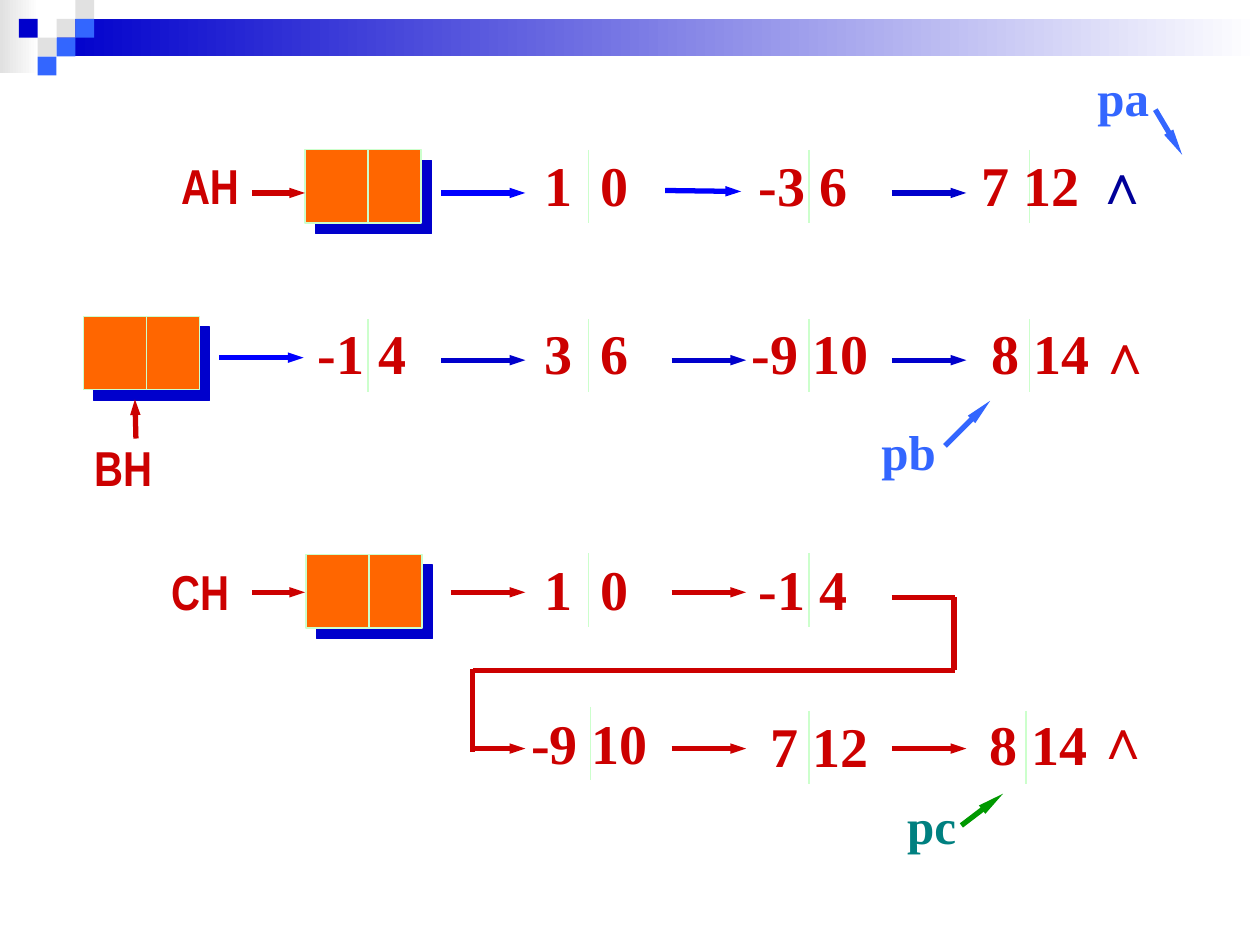
import pptx
import pptx.dml.color
import pptx.enum.shapes
import pptx.enum.text
import pptx.oxml
import pptx.oxml.ns
import pptx.util

Cm = pptx.util.Cm
Pt = pptx.util.Pt
RECTANGLE = pptx.enum.shapes.MSO_SHAPE.RECTANGLE
STRAIGHT = pptx.enum.shapes.MSO_CONNECTOR.STRAIGHT
DRAWING_NS = pptx.oxml.ns.nsdecls("a")

RED, NAVY, BLUE, SKY = "CC0000", "0000CC", "0000FF", "3366FF"
GREY, MINT, ORANGE = "E1E1E1", "CCFFCC", "FF6600"
SERIF, NARROW = "Times New Roman", "Arial Narrow"

# Header: gradient bands (left, top, width, height, start colour)
BANDS = [(0, 0, 0.79, 1.47, GREY), (1.14, 0.38, 24.26, 0.76, NAVY)]
# Header: checker squares (column, row, colour)
TILE = 0.38
TILES = [(3, 1, GREY), (4, 0, GREY), (4, 1, SKY), (2, 2, GREY),
         (1, 1, NAVY), (3, 2, SKY), (2, 3, SKY)]

# Head nodes (left, top)
NODE_WIDTH, NODE_HEIGHT, NODE_SPLIT = 2.34, 1.48, 1.27
HEADS = [(6.15, 3.02), (1.68, 6.38), (6.17, 11.18)]

# Dividers between coefficient and exponent: (top, x positions)
FIRST_DIVIDER, NODE_STEP = 7.42, 4.445
COLUMNS = [FIRST_DIVIDER + NODE_STEP * index for index in range(4)]
DIVIDERS = [(3.02, COLUMNS[1:]), (6.43, COLUMNS), (11.15, COLUMNS[1:3]),
            (14.25, [11.91]), (14.33, [16.31, 20.68])]

# Level arrows: (y, colour, [(start, end), ...])
LEVEL_ARROWS = [
    (3.89, RED, [(5.08, 6.15)]),
    (3.89, BLUE, [(8.89, 10.59)]),
    (3.89, NAVY, [(17.98, 19.48)]),
    (7.21, BLUE, [(4.42, 6.12)]),
    (7.26, NAVY, [(8.89, 10.59), (13.54, 15.04), (17.98, 19.48)]),
    (11.94, RED, [(5.08, 6.15), (9.09, 10.59), (13.54, 15.04)]),
    (15.09, RED, [(9.53, 10.59), (13.54, 15.04), (17.98, 19.48)]),
]
# Sloping arrows: (start, end, colour, head length)
SLOPING_ARROWS = [
    ((13.41, 3.84), (14.94, 3.86), BLUE, "med"),
    ((2.74, 8.84), (2.72, 8.05), RED, "med"),
    ((23.29, 2.21), (23.83, 3.12), SKY, "lg"),
    ((19.05, 8.99), (19.96, 8.08), SKY, "lg"),
    ((19.38, 16.64), (20.22, 16), "009900", "lg"),
]
# Link from the upper to the lower row of list C
WRAP_LINK = [((17.98, 12.04), (19.25, 12.04)), ((19.23, 12.04), (19.23, 13.51)),
             ((19.25, 13.51), (9.53, 13.51)), ((9.53, 13.49), (9.53, 15.16))]

# Texts: (wording, left, top, width, colour)
LIST_NAMES = [("AH", 3.4, 3.02, 1.7, RED), ("BH", 1.65, 8.69, 1.7, RED),
              ("CH", 3.2, 11.2, 1.7, RED)]
POINTERS = [("pa", 21.87, 1.22, 1.55, SKY), ("pb", 17.5, 8.36, 1.63, SKY),
            ("pc", 18.03, 15.9, 1.5, "008080")]
TERMS = [
    ("1\t0", 10.72, 2.9, 2.21, RED), ("-3 6", 15.04, 2.9, 2.29, RED),
    ("7 12", 19.53, 2.9, 2.49, RED), ("∧", 21.82, 2.87, 1.19, "000099"),
    ("-1 4", 6.15, 6.3, 2.29, RED), ("3\t6", 10.72, 6.3, 2.21, RED),
    ("-9 10", 14.91, 6.3, 2.87, RED), ("8 14", 19.74, 6.3, 2.49, RED),
    ("∧", 21.87, 6.3, 1.19, RED),
    ("1\t0", 10.72, 11.05, 2.21, RED), ("-1 4", 15.04, 11.05, 2.29, RED),
    ("-9 10", 10.46, 14.15, 2.87, RED), ("7 12", 15.29, 14.22, 2.49, RED),
    ("8 14", 19.69, 14.17, 2.49, RED), ("∧", 21.84, 14.05, 1.19, RED),
]
EXPONENT_TAB = 1.13


def color(value):
    return pptx.dml.color.RGBColor.from_string(value)


def element(markup):
    return pptx.oxml.parse_xml(markup)


def add_rectangle(page, left, top, width, height, fill):
    box = page.shapes.add_shape(RECTANGLE, Cm(left), Cm(top), Cm(width), Cm(height))
    box.shadow.inherit = False
    box.line.fill.background()
    box.fill.solid()
    box.fill.fore_color.rgb = color(fill)
    return box


def add_band(page, left, top, width, height, start):
    box = add_rectangle(page, left, top, width, height, start)
    box.fill.gradient()
    box.fill.gradient_angle = 0
    for stop, place, value in zip(box.fill.gradient_stops, (0, 1), (start, "FFFFFF")):
        stop.position = place
        stop.color.rgb = color(value)


def add_line(page, start, end, value, weight=3, head=None):
    line = page.shapes.add_connector(
        STRAIGHT, *(Cm(place) for place in (*start, *end)))
    line.line.width = Pt(weight)
    line.line.color.rgb = color(value)
    if head:
        line.line._get_or_add_ln().append(element(
            f'<a:tailEnd {DRAWING_NS} type="triangle" w="sm" len="{head}"/>'))
    line._element.spPr.append(element(f"<a:effectLst {DRAWING_NS}/>"))


def add_divider(page, x, top):
    add_line(page, (x, top), (x, top + NODE_HEIGHT), MINT, 0.75)


def add_head(page, left, top):
    box = add_rectangle(page, left, top, NODE_WIDTH, NODE_HEIGHT, ORANGE)
    box.line.color.rgb = color(MINT)
    box.line.width = Pt(0.75)
    effects = box._element.spPr.find(pptx.oxml.ns.qn("a:effectLst"))
    effects.append(element(
        f'<a:outerShdw {DRAWING_NS} dist="{Pt(8.5)}" dir="{45 * 60000}" '
        f'algn="ctr" rotWithShape="0"><a:srgbClr val="{NAVY}"/></a:outerShdw>'))
    add_divider(page, left + NODE_SPLIT, top)


def add_text(page, wording, left, top, width, value, size, font, centred=False):
    height = 1.6 if size == 32 else 1.45
    box = page.shapes.add_textbox(Cm(left), Cm(top), Cm(width), Cm(height))
    frame = box.text_frame
    frame.word_wrap = False
    frame.auto_size = pptx.enum.text.MSO_AUTO_SIZE.SHAPE_TO_FIT_TEXT
    para = frame.paragraphs[0]
    if centred:
        frame.vertical_anchor = pptx.enum.text.MSO_ANCHOR.MIDDLE
        para.alignment = pptx.enum.text.PP_ALIGN.CENTER
    if "\t" in wording:
        para._p.get_or_add_pPr().append(element(
            f'<a:tabLst {DRAWING_NS}><a:tab pos="{Cm(EXPONENT_TAB)}" algn="l"/></a:tabLst>'))
    span = para.add_run()
    span.text = wording
    span.font.size = Pt(size)
    span.font.name = font
    span.font.bold = True
    span.font.color.rgb = color(value)


def main():
    deck = pptx.Presentation()
    deck.slide_width, deck.slide_height = Cm(25.4), Cm(19.05)
    page = deck.slides.add_slide(deck.slide_layouts[6])

    # Header
    for band in BANDS:
        add_band(page, *band)
    for column, row, value in TILES:
        add_rectangle(page, column * TILE, row * TILE, TILE, TILE, value)

    # Nodes
    for left, top in HEADS:
        add_head(page, left, top)
    for top, places in DIVIDERS:
        for x in places:
            add_divider(page, x, top)

    # Links and pointers
    for y, value, spans in LEVEL_ARROWS:
        for start, end in spans:
            add_line(page, (start, y), (end, y), value, head="med")
    for start, end, value, head in SLOPING_ARROWS:
        add_line(page, start, end, value, head=head)
    for start, end in WRAP_LINK:
        add_line(page, start, end, RED)

    # Texts
    for name in LIST_NAMES:
        add_text(page, *name, 28, NARROW)
    for pointer in POINTERS:
        add_text(page, *pointer, 28, SERIF, centred=True)
    for term in TERMS:
        add_text(page, *term, 32, SERIF)

    deck.save("out.pptx")


if __name__ == "__main__":
    main()
